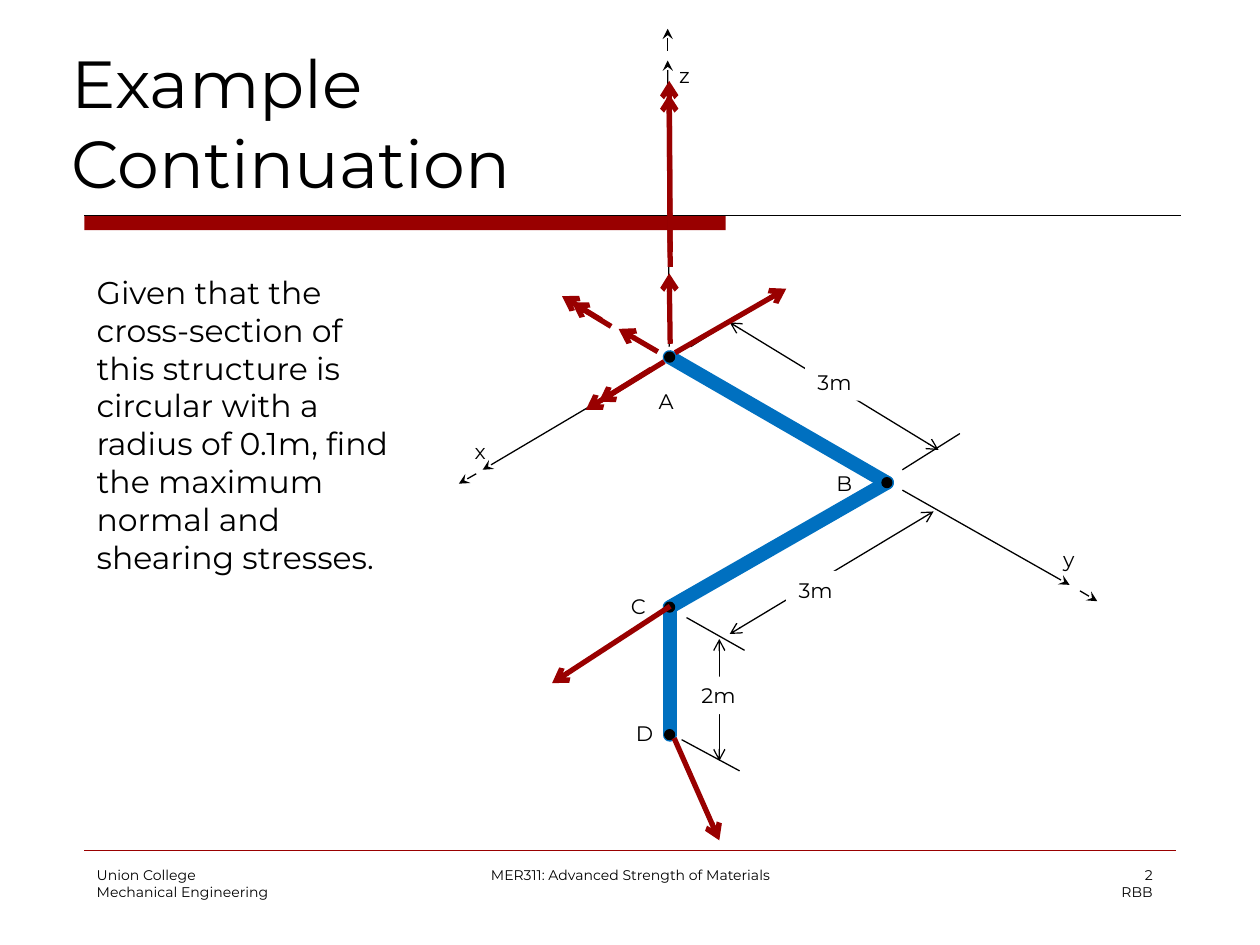
"""Build the slide with the bent structure, its axes, dimensions and section forces."""
from dataclasses import dataclass

from lxml import etree
from pptx import Presentation
from pptx.dml.color import RGBColor
from pptx.enum.shapes import MSO_CONNECTOR, MSO_SHAPE
from pptx.enum.text import MSO_ANCHOR, MSO_AUTO_SIZE, PP_ALIGN
from pptx.oxml.ns import qn
from pptx.util import Cm, Pt

STRAIGHT = MSO_CONNECTOR.STRAIGHT
RECTANGLE, OVAL = MSO_SHAPE.RECTANGLE, MSO_SHAPE.OVAL
TOP, BOTTOM = MSO_ANCHOR.TOP, MSO_ANCHOR.BOTTOM
LEFT, CENTER, RIGHT = PP_ALIGN.LEFT, PP_ALIGN.CENTER, PP_ALIGN.RIGHT
NO_FIT = MSO_AUTO_SIZE.NONE


@dataclass(frozen=True)
class Theme:
    """Colours, font and type sizes."""
    font: str = "Montserrat"
    ink: str = "000000"
    paper: str = "FFFFFF"
    red: str = "990000"
    blue: str = "0070C0"
    title: float = 38
    body: float = 18
    label: float = 12
    footer: float = 8
    hairline: float = 0.25
    thin: float = 0.75
    force: float = 3
    member: float = 8


THEME = Theme()
TITLE = ["Example", "Continuation"]
TITLE_AREA = (1.19, 0.81, 22.23, 3.38)
BODY = ("Given that the cross-section of this structure is circular with a radius "
        "of 0.1m, find the maximum normal and shearing stresses.")
BODY_AREA = (1.7, 5.38, 6.71, 7.19)
BAR_AREA = (1.7, 4.34, 12.93, 0.3)
TITLE_RULE = ((1.7, 4.34), (23.8, 4.34))
FOOTER_RULE = ((1.7, 17.15), (23.7, 17.15))
FOOTERS = [
    (["Union College", "Mechanical Engineering"], 1.7, 5.28, LEFT),
    (["MER311: Advanced Strength of Materials"], 8.69, 8.05, CENTER),
    (["2", "RBB"], 18.21, 5.28, RIGHT),
]
FOOTER_TOP, FOOTER_HEIGHT = 17.35, 1.27

JOINTS = {"A": (13.5, 7.2), "B": (17.88, 9.73), "C": (13.5, 12.24), "D": (13.5, 14.81)}
MEMBERS = ["AB", "CB", "CD"]
DOT = 0.2
AXES = [
    ((13.49, 6.99), (13.46, 1.22)),
    ((18.19, 9.88), (21.56, 11.79)),
    ((13.16, 7.44), (9.73, 9.47)),
    ((13.46, 1.02), (13.46, 0.58)),
    ((21.77, 11.91), (22.12, 12.12)),
    ((9.6, 9.55), (9.25, 9.75)),
]
LABELS = {
    "x": (9.32, 8.71), "y": (21.18, 10.9), "z": (13.44, 1.14), "A": (13.03, 7.7),
    "B": (16.61, 9.37), "C": (12.47, 11.84), "D": (12.57, 14.4),
}
LABEL_SIZE = (0.82, 0.76)
EXTENSIONS = [
    ((13.92, 6.99), (15.09, 6.25)),
    ((18.19, 9.47), (19.35, 8.74)),
    ((13.84, 12.45), (15.01, 13.11)),
    ((13.74, 14.91), (14.91, 15.54)),
]
DIMENSIONS = [
    ((14.71, 6.5), (18.92, 9.07), "3m", (16.23, 7.32)),
    ((14.71, 12.78), (18.82, 10.31), "3m", (15.85, 11.51)),
    ((14.5, 12.88), (14.5, 15.34), "2m", (13.89, 13.64)),
]
DIMENSION_SIZE = (1.22, 0.76)
FORCES = [
    ((13.59, 14.88), (14.5, 16.94)),
    ((13.51, 12.22), (11.13, 13.77)),
    ((13.61, 7.11), (15.85, 5.82)),
    ((13.26, 7.09), (12.47, 6.63)),
    ((13.51, 6.93), (13.49, 5.51)),
    ((12.32, 6.58), (11.53, 6.1)),
    ((12.12, 6.45), (11.33, 5.97)),
    ((13.51, 5.38), (13.49, 1.9)),
    ((13.51, 5.08), (13.49, 1.63)),
    ((13.39, 7.29), (12.07, 8.1)),
    ((13.13, 7.44), (11.81, 8.26)),
]


def lengths(values):
    return [Cm(value) for value in values]


def apply(target, formats):
    for name, value in formats.items():
        setattr(target, name, value)


def write(frame, lines, size, align=LEFT, wrap=True, anchor=TOP):
    apply(frame, {"word_wrap": wrap, "auto_size": NO_FIT, "vertical_anchor": anchor})
    for index, line in enumerate(lines):
        para = frame.add_paragraph() if index else frame.paragraphs[0]
        para.alignment = align
        style(para.add_run(), line, size)


def style(span, text, size):
    span.text = text
    apply(span.font, {"name": THEME.font, "size": Pt(size)})
    span.font.color.rgb = RGBColor.from_string(THEME.ink)


def add_text(page, lines, area, size, **options):
    box = page.shapes.add_textbox(*lengths(area))
    write(box.text_frame, lines, size, **options)
    return box


def add_line(page, start, end, color, width, head=None, tail=None, cap=None):
    line = page.shapes.add_connector(STRAIGHT, *lengths(start + end))
    line.line.color.rgb = RGBColor.from_string(color)
    line.line.width = Pt(width)
    properties = line._element.spPr
    outline = properties.find(qn("a:ln"))
    if cap:
        outline.set("cap", cap)
    for tag, kind in (("a:headEnd", head), ("a:tailEnd", tail)):
        if kind:
            etree.SubElement(outline, qn(tag)).set("type", kind)
    etree.SubElement(properties, qn("a:effectLst"))


def add_solid(page, kind, area, color, outlined=False):
    shape = page.shapes.add_shape(kind, *lengths(area))
    shape.shadow.inherit = False
    shape.fill.solid()
    shape.fill.fore_color.rgb = RGBColor.from_string(color)
    if outlined:
        shape.line.color.rgb = RGBColor.from_string(color)
        shape.line.width = Pt(THEME.thin)
    else:
        shape.line.fill.background()
    return shape


def add_frame(page):
    add_solid(page, RECTANGLE, BAR_AREA, THEME.red)
    add_line(page, *TITLE_RULE, THEME.ink, THEME.thin)
    add_line(page, *FOOTER_RULE, THEME.red, THEME.hairline)
    for lines, left, width, align in FOOTERS:
        add_text(page, lines, (left, FOOTER_TOP, width, FOOTER_HEIGHT), THEME.footer, align=align)


def add_title(page):
    title = page.shapes.title
    apply(title, dict(zip(("left", "top", "width", "height"), lengths(TITLE_AREA))))
    write(title.text_frame, TITLE[:1], THEME.title, anchor=BOTTOM)
    para = title.text_frame.paragraphs[0]
    for line in TITLE[1:]:
        para.add_line_break()
        style(para.add_run(), line, THEME.title)


def add_structure(page):
    for start, end in MEMBERS:
        add_line(page, JOINTS[start], JOINTS[end], THEME.blue, THEME.member, cap="rnd")
    for start, end in AXES:
        add_line(page, start, end, THEME.ink, THEME.thin, tail="stealth")
    for text, place in LABELS.items():
        add_text(page, [text], place + LABEL_SIZE, THEME.label, wrap=False)
    for x, y in JOINTS.values():
        add_solid(page, OVAL, (x - DOT / 2, y - DOT / 2, DOT, DOT), THEME.ink, outlined=True)


def add_dimensions(page):
    for start, end in EXTENSIONS:
        add_line(page, start, end, THEME.ink, THEME.thin)
    for start, end, text, place in DIMENSIONS:
        add_line(page, start, end, THEME.ink, THEME.thin, head="arrow", tail="arrow")
        tag = add_solid(page, RECTANGLE, place + DIMENSION_SIZE, THEME.paper)
        write(tag.text_frame, [text], THEME.label, wrap=False)


def main():
    deck = Presentation()
    deck.slide_width, deck.slide_height = lengths((25.4, 19.05))
    page = deck.slides.add_slide(deck.slide_layouts[5])
    add_frame(page)
    add_title(page)
    add_structure(page)
    add_dimensions(page)
    for start, tip in FORCES:
        add_line(page, start, tip, THEME.red, THEME.force, tail="arrow")
    add_text(page, [BODY], BODY_AREA, THEME.body)
    deck.save("out.pptx")


if __name__ == "__main__":
    main()
